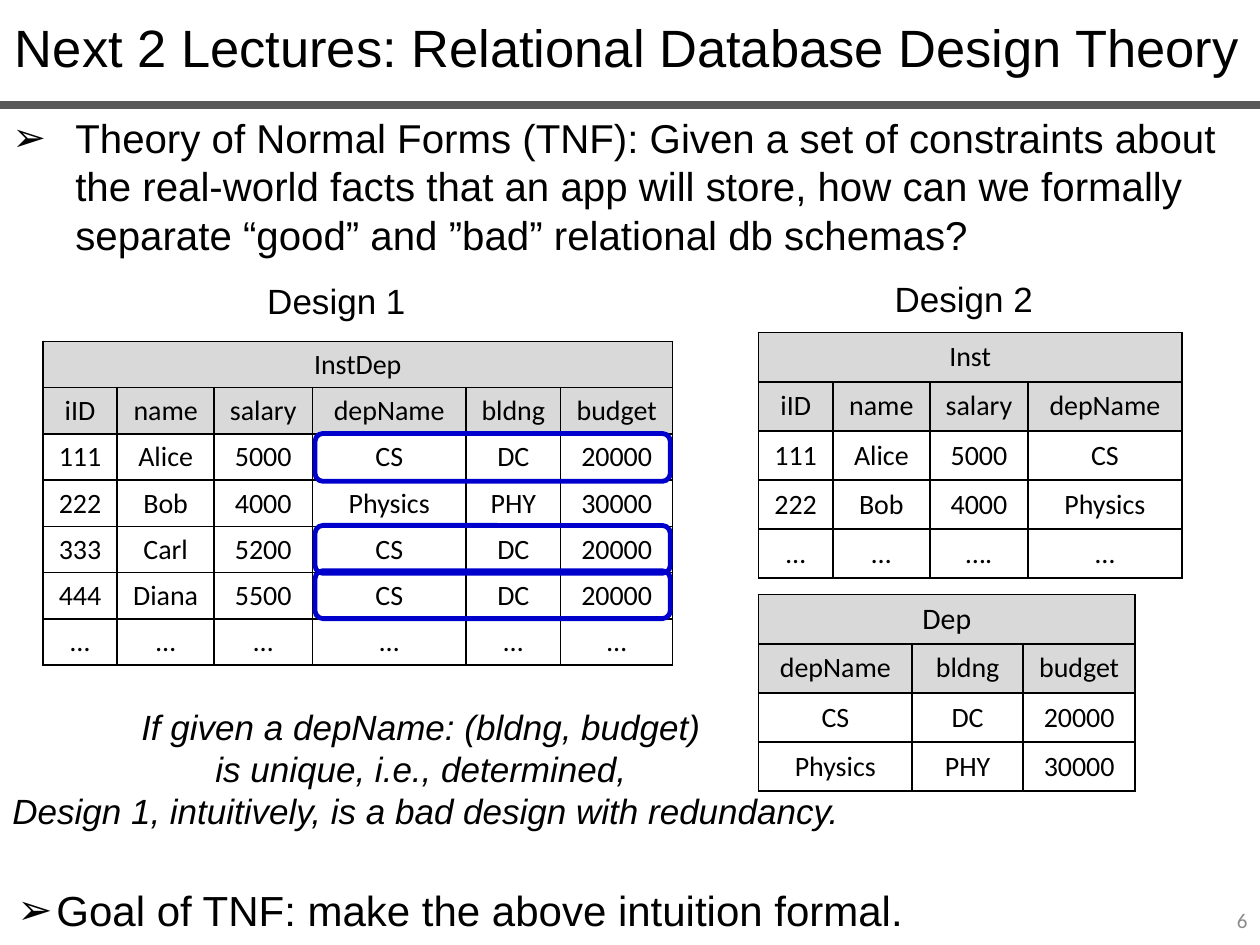
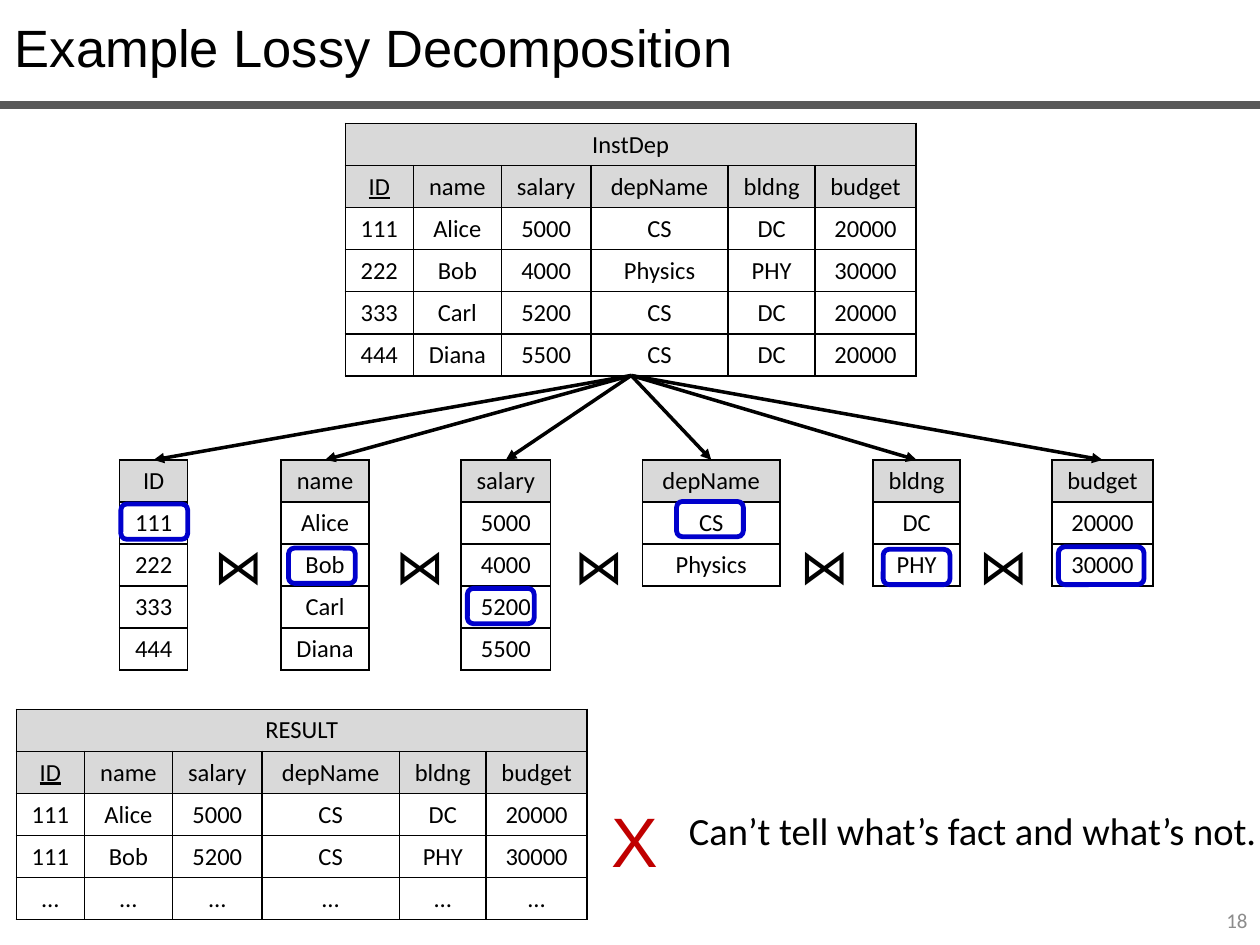
from dataclasses import dataclass

from lxml import etree
from pptx import Presentation
from pptx.dml import color
from pptx.enum import shapes, text
from pptx.oxml import ns
from pptx.util import Inches, Pt

BLACK, GREY, RULE, HEAD, RING, RED = "000000", "8C8C8C", "595959", "D9D9D9", "0000CC", "C00000"
SANS, BODY = "Arial", "Calibri"
LEFT, CENTER, RIGHT = text.PP_ALIGN.LEFT, text.PP_ALIGN.CENTER, text.PP_ALIGN.RIGHT


@dataclass
class Box:
    x: float
    y: float
    w: float
    h: float

    def emu(self) -> tuple:
        return tuple(Inches(v) for v in (self.x, self.y, self.w, self.h))


@dataclass
class Grid:
    x: float
    y: float
    h: float
    cols: list[float]
    rows: list[str]
    size: int
    title: str = ""
    title_size: int = 0
    key: str = ""


@dataclass
class Part:
    x: float
    w: float
    h: float
    rows: list[str]
    ring: Box
    join_x: float = 0


def rgb(value: str) -> color.RGBColor:
    return color.RGBColor.from_string(value)


def style(p, content: str, size: float, font: str, fill: str, align, italic=False, underline=False):
    p.alignment = align
    r = p.add_run()
    r.text = content
    r.font.size = Pt(size)
    r.font.name = font
    r.font.color.rgb = rgb(fill)
    r.font.italic = italic
    r.font.underline = underline
    r.font.bold = False


def add_text(s, box: Box, content: str, size: float = 20, font: str = SANS, fill: str = BLACK,
             align=LEFT, italic: bool = False, wrap: bool = True, middle: bool = False,
             bullet_indent: float = 0, spacing: float = 0) -> None:
    tf = s.shapes.add_textbox(*box.emu()).text_frame
    tf.word_wrap = wrap
    if middle:
        tf.vertical_anchor = text.MSO_ANCHOR.MIDDLE
    else:
        tf.auto_size = text.MSO_AUTO_SIZE.SHAPE_TO_FIT_TEXT
    for i, line in enumerate(content.split("\n")):
        p = tf.add_paragraph() if i else tf.paragraphs[0]
        if bullet_indent:
            pPr = p._p.get_or_add_pPr()
            pPr.set("marL", str(Inches(bullet_indent)))
            pPr.set("indent", str(-Inches(bullet_indent)))
            etree.SubElement(pPr, ns.qn("a:buFont"), typeface=SANS)
            etree.SubElement(pPr, ns.qn("a:buChar"), char="➢")
        if spacing:
            p.line_spacing = spacing
        style(p, line, size, font, fill, align, italic)


def add_line(s, x1: float, y1: float, x2: float, y2: float, fill: str, width: float,
             arrow: bool = False) -> None:
    c = s.shapes.add_connector(shapes.MSO_CONNECTOR.STRAIGHT, *(Inches(v) for v in (x1, y1, x2, y2)))
    c.line.color.rgb = rgb(fill)
    c.line.width = Pt(width)
    spPr = c._element.spPr
    if arrow:
        etree.SubElement(spPr.find(ns.qn("a:ln")), ns.qn("a:tailEnd"), type="triangle")
    etree.SubElement(spPr, ns.qn("a:effectLst"))


def add_ring(s, box: Box) -> None:
    sp = s.shapes.add_shape(shapes.MSO_SHAPE.ROUNDED_RECTANGLE, *box.emu())
    sp.shadow.inherit = False
    sp.fill.background()
    sp.line.color.rgb = rgb(RING)
    sp.line.width = Pt(2.75)


def add_borders(cell) -> None:
    tcPr = cell._tc.get_or_add_tcPr()
    for side in ("lnL", "lnR", "lnT", "lnB"):
        ln = etree.SubElement(tcPr, ns.qn(f"a:{side}"), w=str(Pt(1)))
        etree.SubElement(etree.SubElement(ln, ns.qn("a:solidFill")), ns.qn("a:srgbClr"), val=BLACK)


def add_grid(s, grid: Grid) -> None:
    rows = [row.split() for row in grid.rows]
    if grid.title:
        rows.insert(0, [grid.title] + [""] * (len(grid.cols) - 1))
    heads = 2 if grid.title else 1
    box = Box(grid.x, grid.y, sum(grid.cols), grid.h)
    table = s.shapes.add_table(len(rows), len(grid.cols), *box.emu()).table
    table.first_row = table.horz_banding = False
    for column, width in zip(table.columns, grid.cols):
        column.width = Inches(width)
    for i, row in enumerate(rows):
        table.rows[i].height = Inches(grid.h / len(rows))
        for j, value in enumerate(row):
            cell = table.cell(i, j)
            add_borders(cell)
            cell.vertical_anchor = text.MSO_ANCHOR.MIDDLE
            if i < heads:
                cell.fill.solid()
                cell.fill.fore_color.rgb = rgb(HEAD)
            else:
                cell.fill.background()
            if value:
                size = grid.title_size if value == grid.title and grid.title_size else grid.size
                style(cell.text_frame.paragraphs[0], value, size, BODY, BLACK, CENTER,
                      underline=value == grid.key)
    if grid.title:
        table.cell(0, 0).merge(table.cell(0, len(grid.cols) - 1))


def add_slide(prs, title: str, number: int):
    s = prs.slides.add_slide(prs.slide_layouts[6])
    add_text(s, Box(0.02, 0.07, 9.98, 0.61), title, size=30)
    add_line(s, 0, 0.83, 10, 0.83, RULE, 4.5)
    add_text(s, Box(7.67, 7.1, 2.33, 0.4), str(number), size=12, font=BODY, fill=GREY,
             align=RIGHT, middle=True)
    return s


FIELDS = "name salary depName bldng budget"
PEOPLE = ["111 Alice 5000 CS DC 20000", "222 Bob 4000 Physics PHY 30000",
          "333 Carl 5200 CS DC 20000", "444 Diana 5500 CS DC 20000"]
DOTS = "… … … … … …"


def build_design_slide(prs) -> None:
    s = add_slide(prs, "Next 2 Lectures: Relational Database Design Theory", 6)
    add_text(s, Box(0, 0.85, 10, 1.26),
             "Theory of Normal Forms (TNF): Given a set of constraints about the real-world facts "
             "that an app will store, how can we formally separate “good” and ”bad” relational "
             "db schemas?", size=23, bullet_indent=0.5)
    inst_cols = [0.59, 0.77, 0.78, 1.22]
    add_grid(s, Grid(0.34, 2.71, 2.57, inst_cols + [0.75, 0.89],
                     [f"iID {FIELDS}", *PEOPLE, DOTS], 16, "InstDep"))
    add_grid(s, Grid(6.02, 2.64, 1.95, inst_cols,
                     ["iID name salary depName", "111 Alice 5000 CS", "222 Bob 4000 Physics",
                      "… … …. …"], 16, "Inst"))
    add_grid(s, Grid(6.02, 4.72, 1.56, [1.22, 0.88, 0.89],
                     ["depName bldng budget", "CS DC 20000", "Physics PHY 30000"], 16, "Dep", 17))
    for y in (3.44, 4.17, 4.53):
        add_ring(s, Box(2.5, y, 2.82, 0.38))
    add_text(s, Box(-0.23, 5.55, 7.22, 1.11),
             "If given a depName: (bldng, budget) \nis unique, i.e., determined, \n"
             "Design 1, intuitively, is a bad design with redundancy.", align=CENTER, italic=True)
    add_text(s, Box(0.71, 2.17, 3.92, 0.44), "Design 1", align=CENTER)
    add_text(s, Box(6, 2.15, 3.3, 0.44), "Design 2", align=CENTER)
    add_text(s, Box(0.04, 6.77, 9.9, 0.63), "Goal of TNF: make the above intuition formal.",
             size=24, bullet_indent=0.31, spacing=1.5)


def build_lossy_slide(prs) -> None:
    s = add_slide(prs, "Example Lossy Decomposition", 18)
    cols = [0.54, 0.7, 0.71, 1.09, 0.69, 0.8]
    header = f"ID {FIELDS}"
    add_grid(s, Grid(2.74, 0.98, 2, cols, [header, *PEOPLE], 14, "InstDep", key="ID"))

    lefts = [0.95, 2.23, 3.66, 5.1, 6.93, 8.35]
    joins = [1.6, 3.04, 4.46, 6.25, 7.67, 0]
    rings = [Box(0.96, 4, 0.53, 0.28), Box(2.29, 4.35, 0.53, 0.28), Box(3.71, 4.67, 0.53, 0.28),
             Box(5.37, 3.98, 0.53, 0.28), Box(7.01, 4.36, 0.53, 0.28), Box(8.4, 4.34, 0.68, 0.3)]
    parts = []
    for i, values in enumerate(zip(*(row.split() for row in [header, *PEOPLE]))):
        unique = list(dict.fromkeys(values)) if i > 2 else list(values)
        parts.append(Part(lefts[i], cols[i], len(unique) / 3, unique, rings[i], joins[i]))

    top = 3.65
    for part in parts:
        add_grid(s, Grid(part.x, top, part.h, [part.w], part.rows, 14))
    for part in parts:
        add_line(s, 5.01, 2.98, part.x + part.w / 2, top, BLACK, 2, arrow=True)
    add_grid(s, Grid(0.13, 5.63, 1.67, cols,
                     [header, PEOPLE[0], "111 Bob 5200 CS PHY 30000", DOTS], 14, "RESULT", key="ID"))
    for part in parts:
        if part.join_x:
            add_text(s, Box(part.join_x, 4.2, 0.53, 0.57), "⋈", size=28, wrap=False)
        add_ring(s, part.ring)
    add_text(s, Box(4.75, 6.28, 0.58, 0.77), "X", size=40, fill=RED, align=CENTER, wrap=False)
    add_text(s, Box(5.37, 6.36, 4.76, 0.47), "Can’t tell what’s fact and what’s not.",
             size=22, font=BODY)


def main() -> None:
    prs = Presentation()
    prs.slide_width, prs.slide_height = Inches(10), Inches(7.5)
    build_design_slide(prs)
    build_lossy_slide(prs)
    prs.save("out.pptx")


if __name__ == "__main__":
    main()
